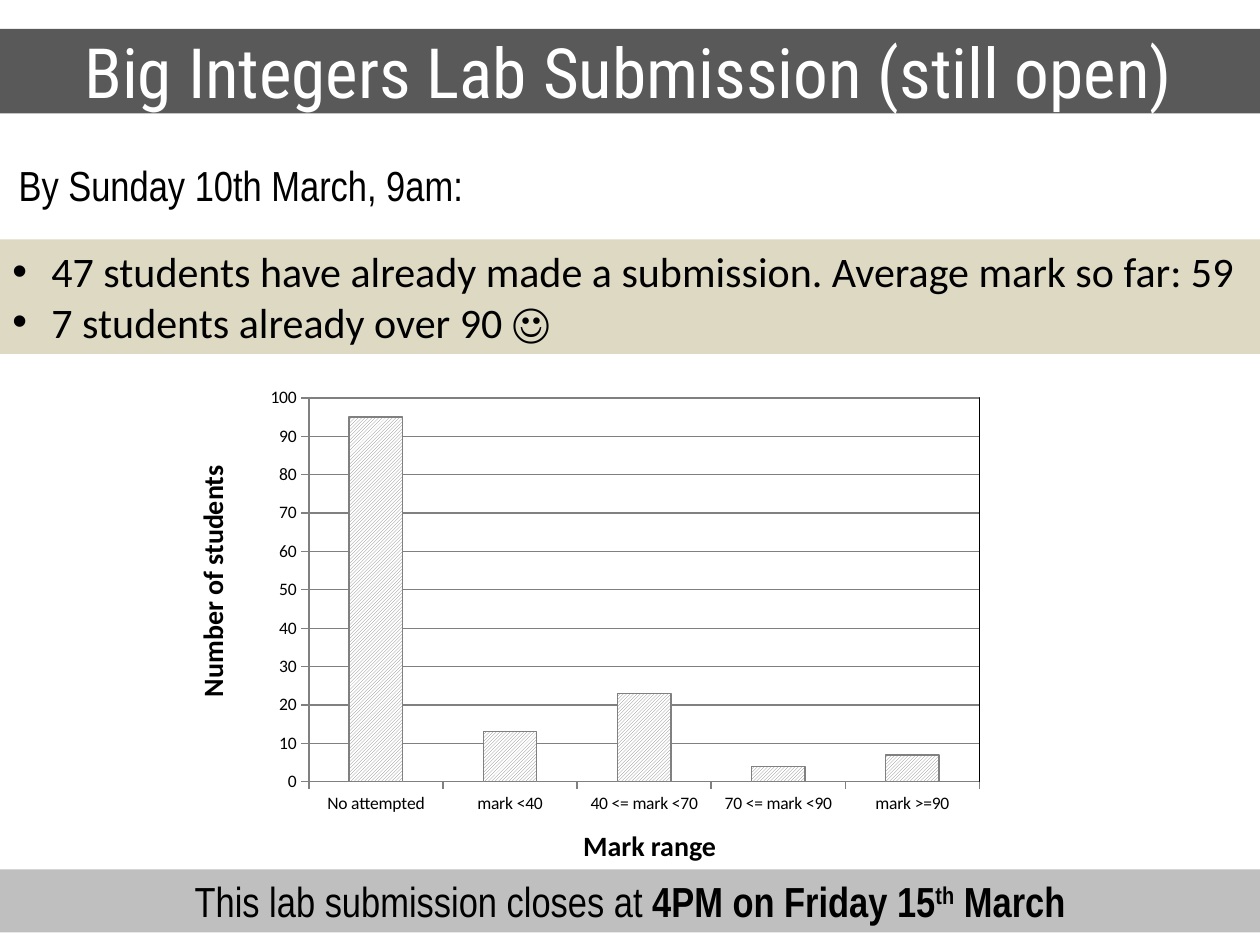
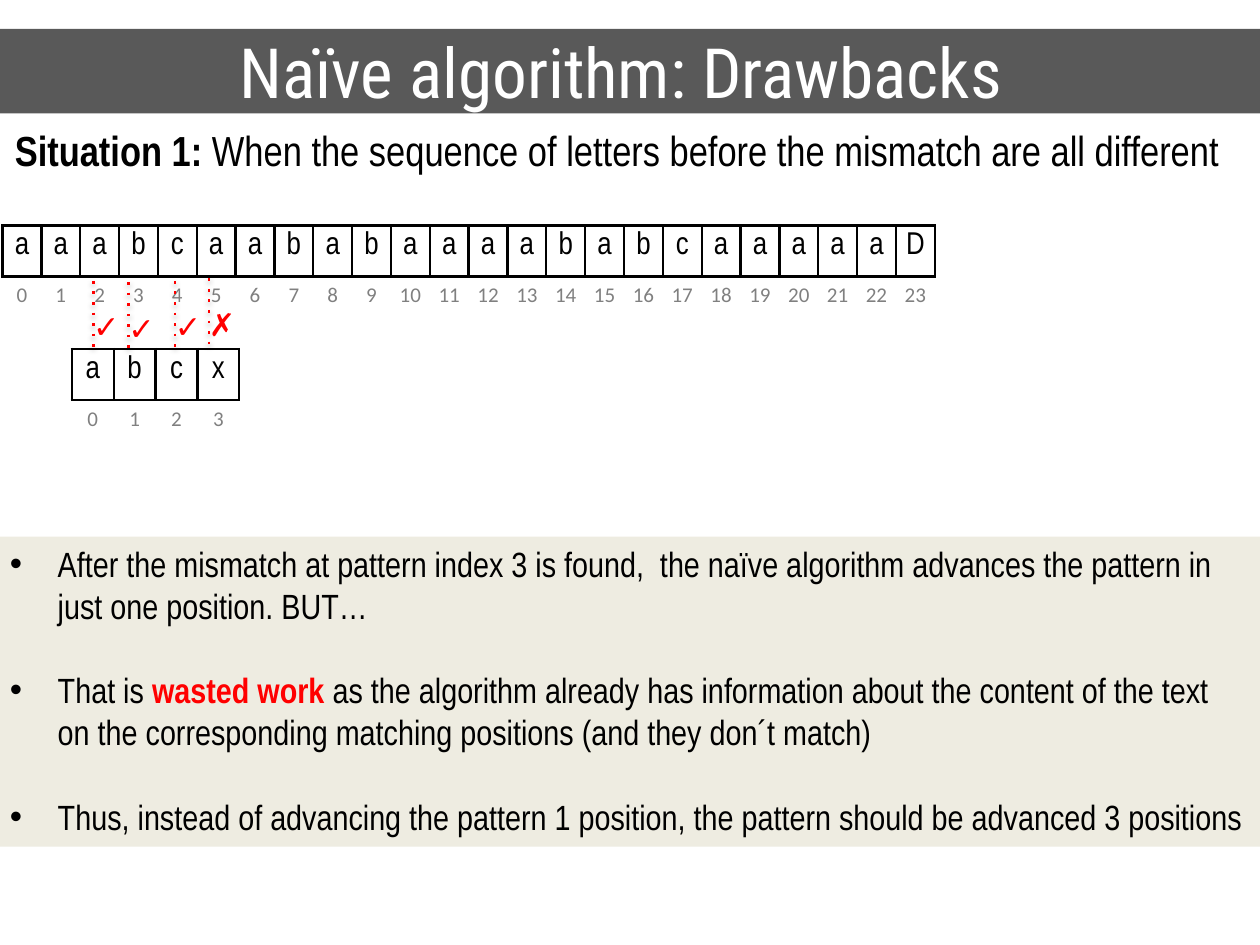
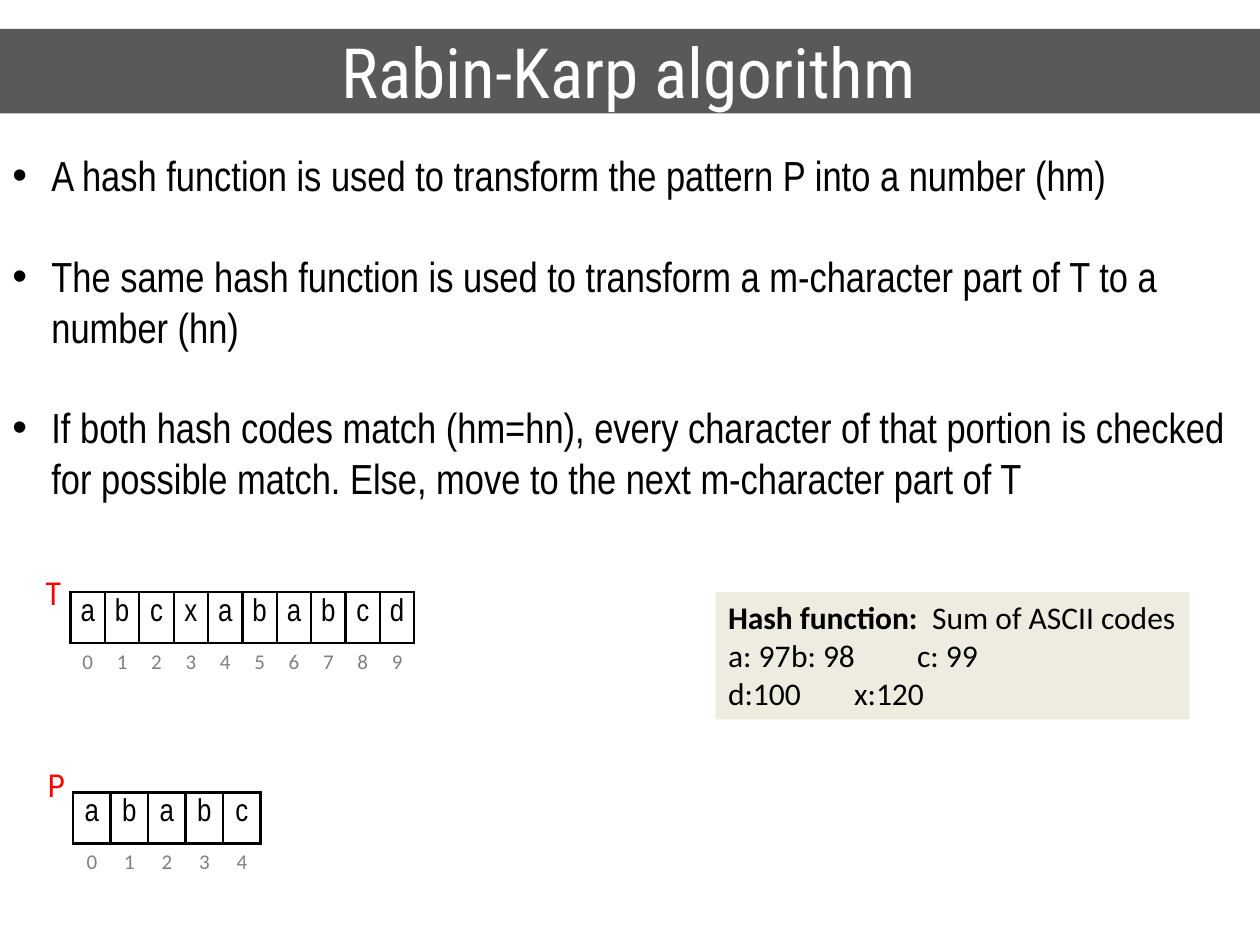
"""Build three algorithm lecture slides: lab results, naive search and Rabin-Karp."""
from lxml.etree import SubElement
from pptx import Presentation
from pptx.chart.data import CategoryChartData
from pptx.dml.color import RGBColor
from pptx.enum.chart import XL_CHART_TYPE as ChartType, XL_TICK_MARK as Tick
from pptx.enum.dml import MSO_PATTERN as Pattern
from pptx.enum.shapes import MSO_CONNECTOR as Connector, MSO_SHAPE as Shape
from pptx.enum.text import MSO_ANCHOR as Anchor, PP_ALIGN as Align
from pptx.oxml import parse_xml
from pptx.oxml.ns import nsdecls, qn
from pptx.util import Inches, Pt

paint = RGBColor.from_string
BLACK, WHITE, RED, GREY = "000000", "FFFFFF", "FF0000", "808080"
BAND, CLOSING, SAND, CREAM = "595959", "BFBFBF", "DDD9C3", "EEECE1"
NARROW, TITLE_FONT, BODY_FONT = "Arial Narrow", "Roboto Condensed", "Calibri"
NO_STYLE = "{2D5ABB26-0587-4C30-8999-92F81FD0307C}"
BOLD = {"bold": True}


def add_text(shapes, at, paras, size, name=NARROW, color=BLACK, fill=None,
             align=Align.LEFT, anchor=Anchor.TOP, wrap=True, indent=0, gap=0):
    """Add a box of paragraphs, each a list of (text, format) spans."""
    place = [Inches(length) for length in at]
    if fill:
        box = shapes.add_shape(Shape.RECTANGLE, *place)
        box.shadow.inherit = False
        box.fill.solid()
        box.fill.fore_color.rgb = paint(fill)
        box.line.fill.background()
    else:
        box = shapes.add_textbox(*place)
    frame = box.text_frame
    frame.word_wrap, frame.vertical_anchor = wrap, anchor
    for number, spans in enumerate(paras):
        para = frame.add_paragraph() if number else frame.paragraphs[0]
        para.alignment = align
        if number and gap:
            para.space_before = Pt(gap)
        if indent:
            props = para._p.get_or_add_pPr()
            props.set("marL", str(Inches(indent)))
            props.set("indent", str(-Inches(indent)))
            SubElement(props, qn("a:buFont"), typeface="Arial")
            SubElement(props, qn("a:buChar"), char="•")
        for text, changes in spans:
            span = para.add_run()
            span.text = text
            look = {"name": name, "size": Pt(size), "bold": False, "color": color} | changes
            span.font.color.rgb = paint(look.pop("color"))
            if "baseline" in look:
                span._r.get_or_add_rPr().set("baseline", look.pop("baseline"))
            for key, value in look.items():
                setattr(span.font, key, value)
    return box


def add_letters(page, left, top, width, letters):
    """Add a row of boxed letters above a row of their indexes."""
    count = len(letters)
    table = page.shapes.add_table(
        2, count, Inches(left), Inches(top), Inches(width), Inches(0.81)).table
    table.first_row = table.horz_banding = False
    table._tbl.tblPr.find(qn("a:tableStyleId")).text = NO_STYLE
    rows = [(letters, NARROW, 18, BLACK, ("lnL", "lnR", "lnT", "lnB")),
            (range(count), BODY_FONT, 12, GREY, ("lnT",))]
    for column in table.columns:
        column.width = Inches(width / count)
    for row, (values, name, size, color, edges) in enumerate(rows):
        for col, value in enumerate(values):
            cell = table.cell(row, col)
            cell.margin_left = cell.margin_right = Inches(0.04)
            props = cell._tc.get_or_add_tcPr()
            for edge in edges:
                line = SubElement(props, qn(f"a:{edge}"), w=str(Pt(1.5)))
                ink = SubElement(line, qn("a:solidFill"))
                SubElement(ink, qn("a:srgbClr"), val=BLACK)
            cell.fill.background()
            para = cell.text_frame.paragraphs[0]
            para.alignment = Align.CENTER
            span = para.add_run()
            span.text = str(value)
            span.font.name, span.font.size = name, Pt(size)
            span.font.color.rgb = paint(color)


deck = Presentation()
deck.slide_width, deck.slide_height = Inches(10), Inches(7.5)
titles = ["Big Integers Lab Submission (still open)", "Naïve algorithm: Drawbacks ",
          "Rabin-Karp algorithm"]
pages = []
for title in titles:
    page = deck.slides.add_slide(deck.slide_layouts[6])
    add_text(page.shapes, (-0.02, 0.23, 10.02, 0.67), [[(title, {})]], 39.6, TITLE_FONT,
             WHITE, BAND, Align.CENTER, Anchor.MIDDLE)
    pages.append(page)
results, naive, hashing = pages

add_text(results.shapes, (0, 1.9, 10.02, 0.91),
         [[("47 students have already made a submission. Average mark so far: 59", {})],
          [("7 students already over 90 ☺", {})]],
         24, BODY_FONT, fill=SAND, wrap=False, indent=0.31)
add_text(results.shapes, (0, 6.9, 10, 0.5),
         [[("This lab submission closes at ", {}), ("4PM on Friday 15", BOLD),
           ("th", BOLD | {"baseline": "30000"}), (" March", BOLD)]],
         24, fill=CLOSING, align=Align.CENTER)
for at, label, rotation in [((0.65, 4.41, 2.07, 0.37), "Number of students", 270),
                            ((4.53, 6.53, 1.28, 0.37), "Mark range", 0)]:
    box = add_text(results.shapes, at, [[(label, BOLD)]], 16, BODY_FONT, wrap=False)
    box.rotation = rotation
add_text(results.shapes, (0.05, 1.22, 3.76, 0.5), [[("By Sunday 10th March, 9am:", {})]],
         24, wrap=False)

marks = CategoryChartData()
marks.categories = ["No attempted", "mark <40", "40 <= mark <70", "70 <= mark <90", "mark >=90"]
marks.add_series("Series 1", [95, 13, 23, 4, 7])
chart = results.shapes.add_chart(ChartType.COLUMN_CLUSTERED, Inches(2.03), Inches(3.01),
                                 Inches(5.86), Inches(3.52), marks).chart
chart.has_title = chart.has_legend = False
chart.font.name, chart.font.size = BODY_FONT, Pt(10)
chart.font.color.rgb = paint(BLACK)
plot = chart.plots[0]
plot.gap_width, plot.vary_by_categories = 150, False
bars = plot.series[0].format
bars.fill.patterned()
bars.fill.pattern = Pattern.LIGHT_UPWARD_DIAGONAL
bars.fill.fore_color.rgb, bars.fill.back_color.rgb = paint(GREY), paint(WHITE)
counts, ranges = chart.value_axis, chart.category_axis
counts.minimum_scale, counts.maximum_scale, counts.major_unit = 0, 100, 10
counts.has_major_gridlines = True
for axis in (counts, ranges):
    axis.major_tick_mark = Tick.OUTSIDE
for part in (bars, counts.format, ranges.format, counts.major_gridlines.format):
    part.line.color.rgb = paint(GREY)
    part.line.width = Pt(0.75)
chart._chartSpace.chart.plotArea.append(parse_xml(
    f'<c:spPr {nsdecls("c", "a")}><a:noFill/><a:ln w="9525"><a:solidFill>'
    f'<a:srgbClr val="{BLACK}"/></a:solidFill></a:ln></c:spPr>'))

add_letters(naive, 0.02, 1.79, 7.4, "aaabcaababaaaababcaaaaaD")
add_letters(naive, 0.57, 2.77, 1.33, "abcx")
for x, top, symbol in [(0.74, 2.23, "✓"), (1.02, 2.24, "✓"), (1.39, 2.23, "✓"), (1.66, 2.21, "✗")]:
    group = naive.shapes.add_group_shape()
    add_text(group.shapes, (x - 0.1, top + 0.16, 0.4, 0.4), [[(symbol, {})]],
             18, "Arial", RED, wrap=False)
    link = group.shapes.add_connector(Connector.STRAIGHT, Inches(x), Inches(top),
                                      Inches(x), Inches(top + 0.54))
    link.line.color.rgb = paint(RED)
    link.line.width = Pt(1.5)
    SubElement(link.line._get_or_add_ln(), qn("a:prstDash"), val="dot")
    link._element.spPr.append(parse_xml(
        f'<a:effectLst {nsdecls("a")}><a:outerShdw blurRad="{Pt(3.1)}" dist="{Pt(1.6)}" '
        f'dir="5400000"><a:srgbClr val="{BLACK}"><a:alpha val="38000"/></a:srgbClr>'
        '</a:outerShdw></a:effectLst>'))
add_text(naive.shapes, (-0.02, 4.26, 10.02, 2.46),
         [[("After the mismatch at pattern index 3 is found,  the naïve algorithm advances "
            "the pattern in just one position. BUT…", {})],
          [("That is ", {}), ("wasted work ", BOLD | {"color": RED}),
           ("as the algorithm already has information about the content of the text on the "
            "corresponding matching positions (and they don´t match)", {})],
          [("Thus, instead of advancing the pattern 1 position, the pattern should be "
            "advanced 3 positions", {})]],
         20, fill=CREAM, indent=0.38, gap=24)
add_text(naive.shapes, (0.02, 0.94, 9.87, 0.5),
         [[("Situation 1: ", BOLD),
           ("When the sequence of letters before the mismatch are all different", {})]], 24)

add_text(hashing.shapes, (0, 1.14, 10, 2.93),
         [[("A hash function is used to transform the pattern P into a number (hm)", {})],
          [("The same hash function is used to transform a m-character part of T to a "
            "number (hn)", {})],
          [("If both hash codes match (hm=hn), every character of that portion is checked "
            "for possible match. Else, move to the next m-character part of T", {})]],
         24, indent=0.31, gap=28.8)
add_letters(hashing, 0.58, 6.29, 1.49, "ababc")
add_letters(hashing, 0.56, 4.7, 2.73, "abcxababcd")
for left, top, label in [(0.26, 4.51, "T"), (0.28, 6.03, "P")]:
    add_text(hashing.shapes, (left, top, 0.3, 0.4), [[(label, {})]], 18, TITLE_FONT, RED,
             wrap=False)
add_text(hashing.shapes, (5.68, 4.7, 3.76, 1.01),
         [[("Hash function:  ", BOLD), ("Sum of ASCII codes", {})],
          [("a: 97\tb: 98\tc: 99", {})],
          [("d:100\tx:120", {})]],
         18, BODY_FONT, fill=CREAM, wrap=False)

deck.save("out.pptx")
